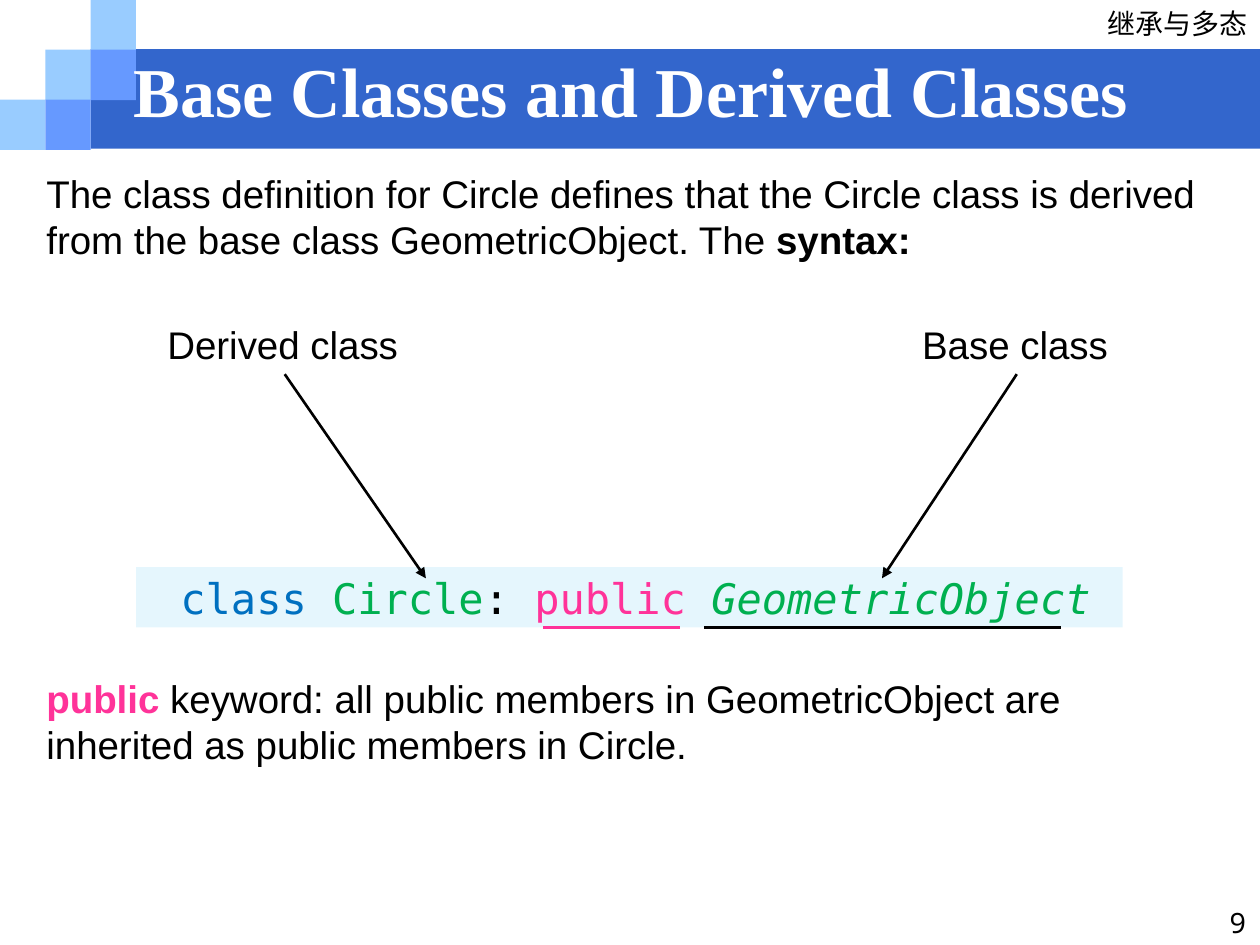
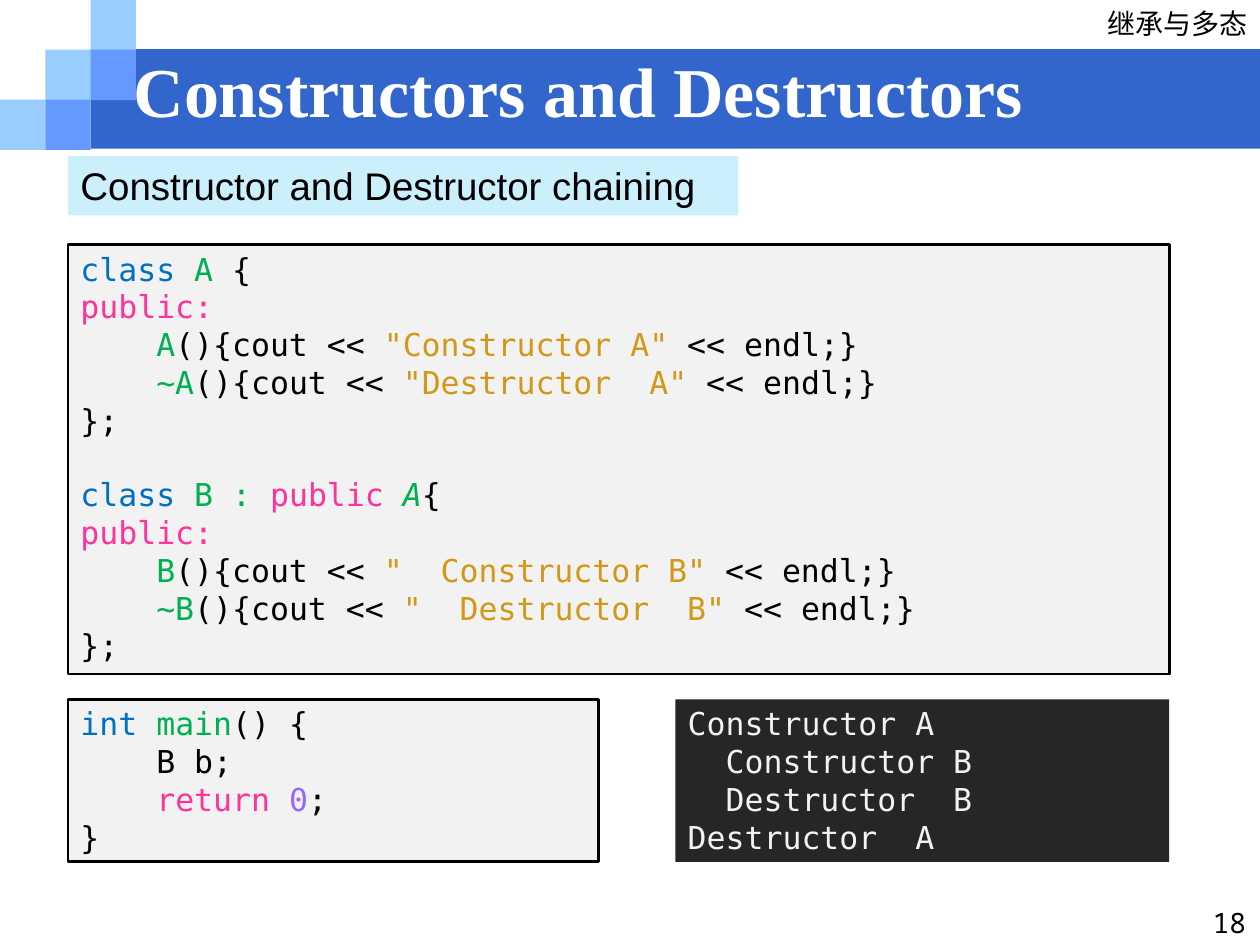
"""Builds two lecture slides on inheritance in C++."""
from pptx import Presentation, util as u
from pptx.dml import color as col
from pptx.enum import shapes as sh, text as tx
from pptx.oxml import ns, xmlchemy as xml

INK, WHITE, BAND, LIGHT, MID = "000000", "FFFFFF", "3366CC", "99CCFF", "6699FF"
SKY, PANEL, DARK, PALE, PINK = "00B0F0", "F2F2F2", "262626", "F2F2F2", "FF3399"
BODY = {"name": "Arial", "size": 22, "color": INK}
CODE = {"name": "DejaVu Sans Mono", "size": 18, "color": INK}
HEAD = {"name": "Times New Roman", "size": 40, "color": WHITE, "bold": True}
TOPIC = {"name": "Noto Sans CJK SC", "size": 16, "color": INK}
NUM = {"name": "Noto Sans Mono", "size": 16, "color": INK}

KEY, TYPE, ACCESS = {"color": "0070C0"}, {"color": "00B050"}, {"color": PINK}
STR, DIGIT, BASE = {"color": "D29818"}, {"color": "9966FF"}, {**TYPE, "italic": True}
INSET = {"margin_left": 0.1, "margin_right": 0, "margin_top": 0.04, "margin_bottom": 0.04}
CELL = 0.36
STEP = 0.4
CODE_GAP = 21


def rgb(code):
    """Turn a hex string into a colour."""
    return col.RGBColor.from_string(code)


def node(tag, **attrs):
    """Make a drawing element with the given attributes."""
    item = xml.OxmlElement(tag)
    for key, val in attrs.items():
        item.set(key, val)
    return item


def style(run, look):
    """Apply a dict of font values to a run."""
    for key, val in look.items():
        if key == "color":
            run.font.color.rgb = rgb(val)
        else:
            setattr(run.font, key, u.Pt(val) if key == "size" else val)
    run.font.element.append(node("a:ea", typeface=look["name"])) if hasattr(
        run.font, "element") else run.r.get_or_add_rPr().append(
        node("a:ea", typeface=look["name"])) if hasattr(run, "r") else None


def write(frame, lines, look, align="LEFT", wrap=True, gaps=None, **inset):
    """Fill a frame; a line is a string or a list of strings and (string, look) pairs."""
    frame.word_wrap = wrap
    frame.auto_size = tx.MSO_AUTO_SIZE.NONE
    for key, val in inset.items():
        setattr(frame, key, u.Inches(val))
    for i, line in enumerate(lines):
        par = frame.add_paragraph() if i else frame.paragraphs[0]
        par.alignment = getattr(tx.PP_ALIGN, align)
        if gaps and i in gaps:
            par.space_before = u.Pt(gaps[i])
        for part in [line] if isinstance(line, str) else line:
            words, extra = (part, {}) if isinstance(part, str) else part
            run = par.add_run()
            run.text = words
            style(run, {**look, **extra})


def rect(page, box, fill, edge=None, alpha=None):
    """Draw a rectangle, with an optional edge and opacity in percent."""
    item = page.shapes.add_shape(sh.MSO_SHAPE.RECTANGLE, *map(u.Inches, box))
    item.shadow.inherit = False
    item.fill.solid()
    item.fill.fore_color.rgb = rgb(fill)
    if alpha:
        tint = item.element.spPr.find(".//" + ns.qn("a:srgbClr"))
        tint.append(node("a:alpha", val=str(alpha * 1000)))
    if edge:
        item.line.color.rgb = rgb(edge)
        item.line.width = u.Pt(1.5)
    else:
        item.line.fill.background()
    item.text_frame.vertical_anchor = tx.MSO_ANCHOR.TOP
    return item


def label(page, box, lines, look, **opts):
    """Add a plain text box."""
    item = page.shapes.add_textbox(*map(u.Inches, box))
    write(item.text_frame, lines, look, **opts)


def line(page, start, end, ink=INK, width=1.5, arrow=False):
    """Draw a straight line, with an arrowhead at its end if asked."""
    item = page.shapes.add_connector(
        sh.MSO_CONNECTOR.STRAIGHT, *map(u.Inches, (*start, *end)))
    item.line.color.rgb = rgb(ink)
    item.line.width = u.Pt(width)
    if arrow:
        item.line._get_or_add_ln().append(node("a:tailEnd", type="triangle"))
    item.element.spPr.append(node("a:effectLst"))


def frame(deck, title, num):
    """Start a slide with band, squares, topic, title and page number."""
    page = deck.slides.add_slide(deck.slide_layouts[5])
    rect(page, (2 * CELL, 0.39, 9.29, 0.79), BAND)
    for c, r, fill in ((0, 2, LIGHT), (1, 1, LIGHT), (2, 0, LIGHT),
                       (2, 1, MID), (1, 2, MID)):
        rect(page, (c * CELL, r * 0.395, CELL, STEP), fill)
    label(page, (8.68, 0, 1.32, 0.37), ["继承与多态"], TOPIC, align="RIGHT", wrap=False)
    head = page.shapes.title
    for key, val in dict(left=0.96, top=0.5, width=9.04, height=0.42).items():
        setattr(head, key, u.Inches(val))
    head.text_frame.vertical_anchor = tx.MSO_ANCHOR.MIDDLE
    write(head.text_frame, [title], HEAD)
    head.element.getparent().append(head.element)
    label(page, (9.43, 7.14, 0.56, 0.35), [num], NUM, align="RIGHT")
    return page


def syntax(page, box):
    """Show the class header with its two labels, arrows and underlines."""
    x, y, w, h = box
    base = y + h
    bar = rect(page, (x, base - 0.48, w, 0.48), SKY, alpha=10)
    write(bar.text_frame, [[("class ", KEY), ("Circle", TYPE), ": ",
                            ("public ", ACCESS), ("GeometricObject", BASE)]],
          {**CODE, "size": 24}, align="CENTER", **INSET)
    for words, left, wide, start, end in (
            ("Derived class", 0.15, 2.05, 1.18, 2.3),
            ("Base class", 6.14, 1.69, 6.99, 5.92)):
        label(page, (x + left, y, wide, 0.47), [words], BODY, wrap=False)
        line(page, (x + start, y + 0.47), (x + end, y + 2.09), arrow=True)
    for start, end, ink in ((3.23, 4.32, PINK), (4.51, 7.34, INK)):
        line(page, (x + start, base), (x + end, base), ink, 2)


def panel(page, box, lines, fill=PANEL, edge=INK, ink=INK, gaps=None):
    """Show lines of code or output in a filled box."""
    item = rect(page, box, fill, edge)
    write(item.text_frame, lines, {**CODE, "color": ink}, gaps=gaps, **INSET)


def member(name, words):
    """Give one code line of a member that prints words."""
    return ["    ", (name, TYPE), "(){cout << ", (f'"{words}" ', STR), "<< endl;}"]


def chain(page, box):
    """Lay out the classes, the main function and the output."""
    x, y, w, h = box
    low, tall = y + 3.61, h - 3.61
    panel(page, (x, y, w, 3.41), [
        [("class", KEY), (" A ", TYPE), "{"],
        [("public:", ACCESS)],
        member("A", "Constructor A"),
        member("~A", "Destructor  A"),
        "};",
        [("class", KEY), (" B : ", TYPE), ("public ", ACCESS), ("A", BASE), "{"],
        [("public:", ACCESS)],
        member("B", "  Constructor B"),
        member("~B", "  Destructor  B"),
        "};"], gaps={5: CODE_GAP})
    panel(page, (x, low, 4.21, tall), [
        [("int ", KEY), ("main", TYPE), "() {"],
        "    B b;",
        ["    ", ("return ", ACCESS), ("0", DIGIT), ";"],
        "}"])
    panel(page, (x + w - 3.92, low, 3.92, tall), [
        "Constructor A", "  Constructor B", "  Destructor  B", "Destructor  A"],
        DARK, None, PALE)


def derive(deck):
    """Build the slide on base and derived classes."""
    page = frame(deck, "Base Classes and Derived Classes", "9")
    label(page, (0.27, 1.3, 9.46, 0.84), [[
        "The class definition for Circle defines that the Circle class is derived "
        "from the base class GeometricObject. The ", ("syntax:", {"bold": True})]], BODY)
    syntax(page, (1.08, 2.5, 7.83, 2.48))
    label(page, (0.27, 5.31, 9.46, 0.84), [[
        ("public", {**ACCESS, "bold": True}),
        " keyword: all public members in GeometricObject are "
        "inherited as public members in Circle."]], BODY)


def build(deck):
    """Build the slide on constructors and destructors."""
    page = frame(deck, "Constructors and Destructors", "18")
    tag = rect(page, (0.54, 1.24, 5.32, 0.47), SKY, alpha=20)
    write(tag.text_frame, ["Constructor and Destructor chaining"], BODY)
    chain(page, (0.54, 1.94, 8.74, 4.9))


def main():
    """Make the deck and save it."""
    deck = Presentation()
    deck.slide_width, deck.slide_height = u.Inches(10), u.Inches(7.5)
    derive(deck)
    build(deck)
    deck.save("out.pptx")


if __name__ == "__main__":
    main()
